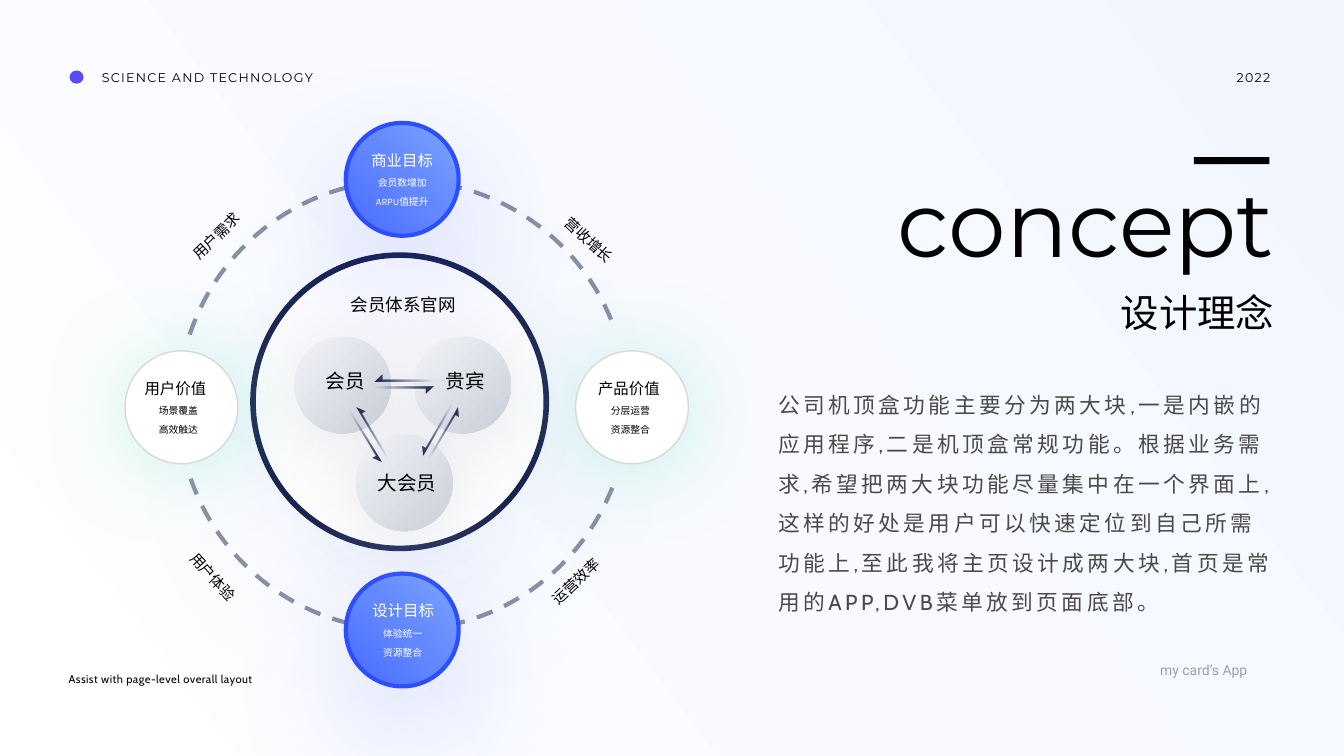
import math
from lxml import etree
from pptx import Presentation
from pptx import util as u
from pptx.dml import color as dml
from pptx.enum import dml as lines, shapes, text
from pptx.oxml import ns

Pt = u.Pt
ALIGN = text.PP_ALIGN
HEX = {
    "black": "000000", "white": "FFFFFF", "gray": "4B4A4A", "pale": "9F9F9F",
    "navy": "172350", "rim": "D9D9D9", "mint": "5AE0BB", "blue": "2D4EFF",
    "ring": "FEFEFF", "glow": "799FFB", "steel": "CBCFD8", "dot": "594AFA",
}
SKY = [(0, "F1F6FF", 100), (50, "F8FAFF", 100), (100, "FFFFFF", 100)]
BLUES = [(0, "7CA4FF", 100), (50, "6287FF", 100), (100, "486AFF", 100)]
STEELS = [(0, "F1F3F7", 100), (100, "CBCFD8", 100)]
FADE = [(0, "172350", 100), (50, "172350", 50), (100, "172350", 0)]

NODE = 80.6
DISC = 69.1
# left, top, text shift, dark style, heading, rows
NODES = [
    (411.1, 250.6, -2.2, False, "产品价值", ["分层运营", "资源整合"]),
    (89.3, 250.6, -4.3, False, "用户价值", ["场景覆盖", "高效触达"]),
    (247, 87.8, 0, True, "商业目标", ["会员数增加", "ARPU值提升"]),
    (247, 409.7, 0.7, True, "设计目标", ["体验统一", "资源整合"]),
]
# left, top, label drop, label
DISCS = [
    (210.2, 240.5, 23, "会员"),
    (295.9, 240.5, 23, "贵宾"),
    (254.2, 310.3, 26.6, "大会员"),
]
# tip x, tip y, turn
ARROWS = [
    (309.6, 276.5, 180), (267.8, 272.2, 0), (326.9, 290.9, 120),
    (302.4, 325.4, 300), (254.9, 290.9, 60), (272.2, 329.8, 240),
]
# center x, center y, turn, label
SIDES = [
    (420.5, 171.7, 42.8, "营收增长"), (154.8, 168.8, 316.2, "用户需求"),
    (151.9, 412.2, 47.2, "用户体验"), (411.8, 415.8, 317, "运营效率"),
]


def rgb(name):
    return dml.RGBColor.from_string(HEX[name])


def tint(parent, code, alpha):
    """Add a colour with an opacity in percent."""
    clr = etree.SubElement(parent, ns.qn("a:srgbClr"), val=code)
    if alpha < 100:
        etree.SubElement(clr, ns.qn("a:alpha"), val=str(alpha * 1000))


def blend(fill, root, stops, angle):
    """Give a fill gradient stops; the angle runs clockwise."""
    fill.gradient()
    grad = next(root.iter(ns.qn("a:gradFill")))
    group = grad.find(ns.qn("a:gsLst"))
    for old in list(group):
        group.remove(old)
    for place, code, alpha in stops:
        stop = etree.SubElement(group, ns.qn("a:gs"), pos=str(place * 1000))
        tint(stop, code, alpha)
    grad.find(ns.qn("a:lin")).set("ang", str(angle * 60000))


def style(shape, fill=None, stops=None, angle=0, line=None, width=1, glow=None):
    shape.shadow.inherit = False
    if stops:
        blend(shape.fill, shape._element.spPr, stops, angle)
    elif fill:
        shape.fill.solid()
        shape.fill.fore_color.rgb = rgb(fill)
    else:
        shape.fill.background()
    if line:
        shape.line.color.rgb = rgb(line)
        shape.line.width = Pt(width)
    else:
        shape.line.fill.background()
    if glow:
        name, alpha, blur, dist = glow
        effects = shape._element.spPr.find(ns.qn("a:effectLst"))
        outer = etree.SubElement(
            effects, ns.qn("a:outerShdw"), blurRad=str(int(Pt(blur))),
            dist=str(int(Pt(dist))), dir="5400000", algn="ctr", rotWithShape="0")
        tint(outer, HEX[name], alpha)
    return shape


def oval(slide, x, y, w, h=None, **look):
    kind = shapes.MSO_SHAPE.OVAL
    box = slide.shapes.add_shape(kind, Pt(x), Pt(y), Pt(w), Pt(h or w))
    return style(box, **look)


def write(box, words, size=9, lead=11, font="Karla", color="black",
          align=ALIGN.LEFT, space=0):
    frame = box.text_frame
    frame.margin_left = frame.margin_right = 0
    frame.margin_top = frame.margin_bottom = 0
    frame.word_wrap = True
    frame.auto_size = text.MSO_AUTO_SIZE.NONE
    frame.vertical_anchor = text.MSO_ANCHOR.TOP
    para = frame.paragraphs[0]
    para.alignment = align
    para.line_spacing = Pt(lead)
    run = para.add_run()
    run.text = words
    run.font.name = font
    run.font.size = Pt(size)
    run.font.color.rgb = rgb(color)
    if space:
        run._r.get_or_add_rPr().set("spc", str(round(space * 100)))


def put(slide, x, y, w, h, words, **form):
    box = slide.shapes.add_textbox(Pt(x), Pt(y), Pt(w), Pt(h))
    write(box, words, **form)
    return box


def label(slide, mid, top, words, size, lead, **form):
    """Centre a short line of text on mid."""
    w = len(words) * size + 1.2
    return put(slide, mid - w / 2, top, w, lead + 1, words, size=size,
               lead=lead, align=ALIGN.CENTER, **form)


def trace(slide, paths, close):
    pen = None
    for path in paths:
        (x, y), *rest = [(Pt(a), Pt(b)) for a, b in path]
        if pen is None:
            pen = slide.shapes.build_freeform(x, y)
        else:
            pen.move_to(x, y)
        pen.add_line_segments(rest, close=close)
    return pen.convert_to_shape()


def orbit(slide, x, y, radius):
    """Draw the dashed upper and lower arcs round a centre."""
    paths = []
    for start, end in ((198.3, 340.8), (160.9, 20)):
        turns = [math.radians(start + (end - start) * i / 60) for i in range(61)]
        paths.append([(x + radius * math.cos(t), y + radius * math.sin(t))
                      for t in turns])
    arcs = style(trace(slide, paths, False), line="navy", width=3)
    arcs.line.dash_style = lines.MSO_LINE.DASH
    clr = next(arcs.line._ln.iter(ns.qn("a:srgbClr")))
    etree.SubElement(clr, ns.qn("a:alpha"), val="50000")


def arrow(slide, x, y, turn):
    """Draw a half arrow that fades away from its tip."""
    c, s = math.cos(math.radians(turn)), math.sin(math.radians(turn))
    base = [(0, 0), (41.8, 0), (41.8, -1.4), (5.8, -1.4), (5.8, -4.3)]
    path = [(x + a * c - b * s, y + a * s + b * c) for a, b in base]
    style(trace(slide, [path], True), stops=FADE, angle=turn)


def wheel(slide):
    orbit(slide, 288, 289.4, 160.6)
    oval(slide, 180.7, 182.2, 209.5, fill="ring", line="navy", width=4,
         glow=("glow", 10, 100, 31.5))
    for x, y, _, dark, _, _ in NODES:
        if dark:
            look = dict(stops=BLUES, angle=135, line="blue", width=3,
                        glow=("blue", 20, 91, 33.9))
        else:
            look = dict(fill="white", line="rim", glow=("mint", 33, 62.2, 3))
        oval(slide, x, y, NODE, **look)
    for x, y, _, _ in DISCS:
        oval(slide, x, y, DISC, stops=STEELS, angle=45,
             glow=("steel", 47, 57.7, 4))
    for tip in ARROWS:
        arrow(slide, *tip)
    for x, y, shift, dark, head, rows in NODES:
        mid, ink = x + NODE / 2, "white" if dark else "black"
        label(slide, mid + shift, y + 20.2, head, 11, 13, font="Roboto", color=ink)
        for i, row in enumerate(rows):
            label(slide, mid + shift / 2, y + 39.2 + 13.2 * i, row, 7, 8, color=ink)
    label(slide, 288, 210.2, "会员体系官网", 12.5, 14.5, font="Roboto")
    for x, y, drop, name in DISCS:
        label(slide, x + DISC / 2 + 2, y + drop, name, 14, 16.5)
    for x, y, turn, name in SIDES:
        label(slide, x, y - 6.75, name, 10.5, 12.5).rotation = turn


def header(slide):
    oval(slide, 49.7, 50.4, 10, 9.4, fill="dot")
    caps = dict(font="Montserrat", space=0.9)
    put(slide, 72.7, 49.7, 151.2, 11, "SCIENCE AND TECHNOLOGY", **caps)
    put(slide, 883.4, 49.7, 27, 11, "2022", **caps)


def story(slide, x, y, w):
    """Place the title, subtitle and body, flush to the right edge."""
    right = x + w
    bar = slide.shapes.add_shape(shapes.MSO_SHAPE.RECTANGLE,
                                 Pt(right - 57.3), Pt(y), Pt(54), Pt(5))
    style(bar, fill="black")
    title = slide.shapes.title
    title.left, title.top = Pt(right - 279.4), Pt(y + 5)
    title.width, title.height = Pt(279.4), Pt(80)
    write(title, "concept", size=65.5, lead=80, font="Montserrat",
          align=ALIGN.RIGHT)
    put(slide, right - 110.6, y + 95, 110.6, 36, "设计理念", size=27.4,
        lead=32, align=ALIGN.RIGHT)
    put(slide, x, y + 157.7, w, 168,
        "公司机顶盒功能主要分为两大块,一是内嵌的应用程序,二是机顶盒常规功能。"
        "根据业务需求,希望把两大块功能尽量集中在一个界面上,"
        "这样的好处是用户可以快速定位到自己所需功能上,"
        "至此我将主页设计成两大块,首页是常用的APP,DVB菜单放到页面底部。",
        size=15.5, lead=28.2, font="Cabin", color="gray", space=2.5)


def footer(slide):
    put(slide, 49, 475.2, 157.7, 14.6, "Assist with page-level overall layout",
        size=8, lead=14.6, font="Cabin", space=0.3)
    put(slide, 828.7, 473, 81.4, 13, "my card’s App", size=10, lead=11.5,
        font="Roboto", color="pale")


def main():
    deck = Presentation()
    deck.slide_width, deck.slide_height = Pt(960), Pt(540)
    slide = deck.slides.add_slide(deck.slide_layouts[5])
    blend(slide.background.fill, slide._element, SKY, 143)
    wheel(slide)
    header(slide)
    story(slide, 555.8, 112.3, 354.2)
    footer(slide)
    deck.save("out.pptx")


if __name__ == "__main__":
    main()
